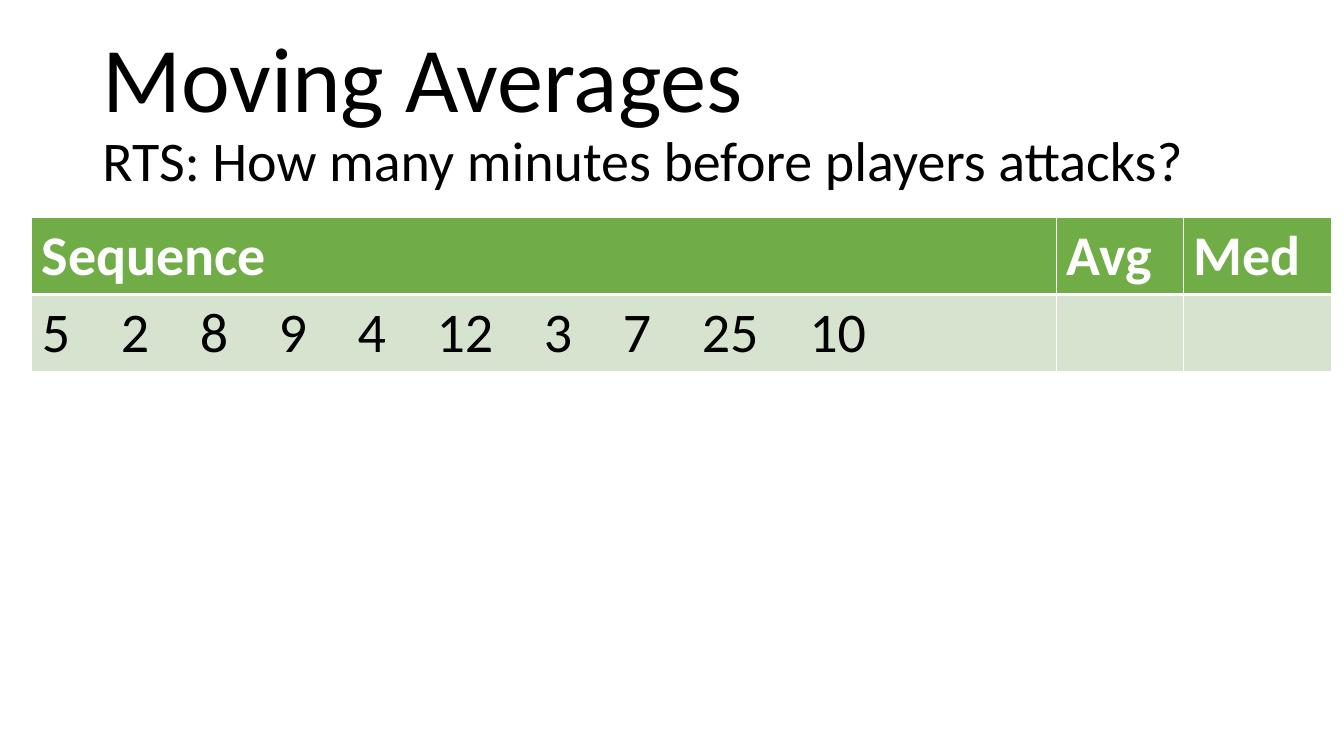
import pptx
import pptx.dml.color
import pptx.enum.text
import pptx.oxml
import pptx.oxml.ns
import pptx.util
from lxml import etree

Cm = pptx.util.Cm
Pt = pptx.util.Pt

SEQUENCE = [5, 2, 8, 9, 4, 12, 3, 7, 25, 10]
DIGIT_WIDTH = 0.715
NUMBER_GAP = 1.275


def color(value):
    return pptx.dml.color.RGBColor.from_string(value)


def write(para, text, *, font, size, fill="000000", bold=False):
    span = para.add_run()
    span.text = text
    span.font.name = font
    span.font.size = Pt(size)
    span.font.bold = bold
    span.font.color.rgb = color(fill)


def add_child(parent, tag, **attributes):
    child = etree.SubElement(parent, pptx.oxml.ns.qn(tag))
    for name, value in attributes.items():
        child.set(name, str(value))
    return child


def set_number_stops(para, numbers):
    """Place one tab stop at the start of each number after the first."""
    stops = add_child(para._p.get_or_add_pPr(), "a:tabLst")
    position = 0
    for number in numbers[:-1]:
        position += DIGIT_WIDTH * len(str(number)) + NUMBER_GAP
        add_child(stops, "a:tab", pos=int(Cm(position)), algn="l")


class Page:
    font = "Calibri"
    text_size = 40
    title_size = 66
    header_fill = "70AD47"
    body_fill = "D5E3CF"
    white = "FFFFFF"

    def __init__(self, deck):
        self.slide = deck.slides.add_slide(deck.slide_layouts[6])

    def title(self, heading, question, left, top, width, height):
        box = self.slide.shapes.add_textbox(Cm(left), Cm(top), Cm(width), Cm(height))
        frame = box.text_frame
        frame.word_wrap = True
        frame.vertical_anchor = pptx.enum.text.MSO_ANCHOR.MIDDLE
        para = frame.paragraphs[0]
        para.line_spacing = 0.9
        write(para, heading, font=self.font, size=self.title_size)
        para.add_line_break()
        write(para, question, font=self.font, size=self.text_size)

    def style_cell(self, cell, fill, top, bottom):
        """Fill the cell and give it white edges; top and bottom are in points."""
        properties = cell._tc.get_or_add_tcPr()
        for side, width in zip("LRTB", (1, 1, top, bottom)):
            edge = add_child(properties, f"a:ln{side}", w=int(Pt(width)))
            add_child(add_child(edge, "a:solidFill"), "a:srgbClr", val=self.white)
        cell.fill.solid()
        cell.fill.fore_color.rgb = color(fill)

    def table(self, headers, numbers, left, top, widths, row_height):
        frame = self.slide.shapes.add_table(
            2, len(headers), Cm(left), Cm(top), Cm(sum(widths)), Cm(2 * row_height))
        table = frame.table
        for row in table.rows:
            row.height = Cm(row_height)
        for index, (header, width) in enumerate(zip(headers, widths)):
            table.columns[index].width = Cm(width)
            head, body = table.cell(0, index), table.cell(1, index)
            self.style_cell(head, self.header_fill, top=1, bottom=3)
            self.style_cell(body, self.body_fill, top=3, bottom=1)
            write(head.text_frame.paragraphs[0], header, font=self.font,
                  size=self.text_size, fill=self.white, bold=True)
        para = table.cell(1, 0).text_frame.paragraphs[0]
        set_number_stops(para, numbers)
        write(para, "\t".join(map(str, numbers)), font=self.font, size=self.text_size)


def main():
    deck = pptx.Presentation()
    deck.slide_width = Cm(33.87)
    deck.slide_height = Cm(19.05)
    page = Page(deck)
    page.title("Moving Averages", "RTS: How many minutes before players attacks?",
               left=2.33, top=1.01, width=29.21, height=3.68)
    page.table(["Sequence", "Avg", "Med"], SEQUENCE,
               left=0.8, top=5.47, widths=[25.83, 3.2, 3.73], row_height=1.95)
    deck.save("out.pptx")


if __name__ == "__main__":
    main()
